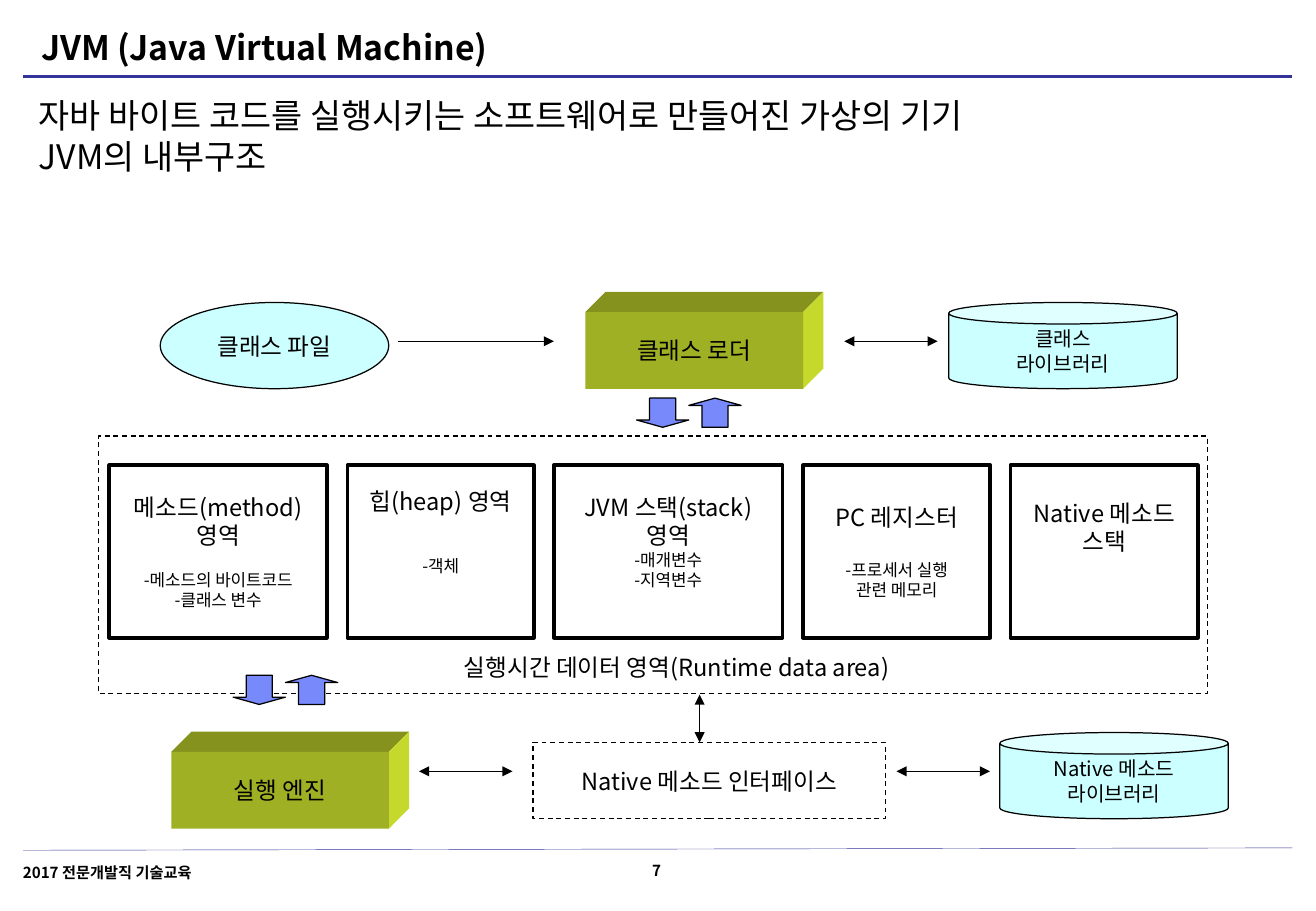
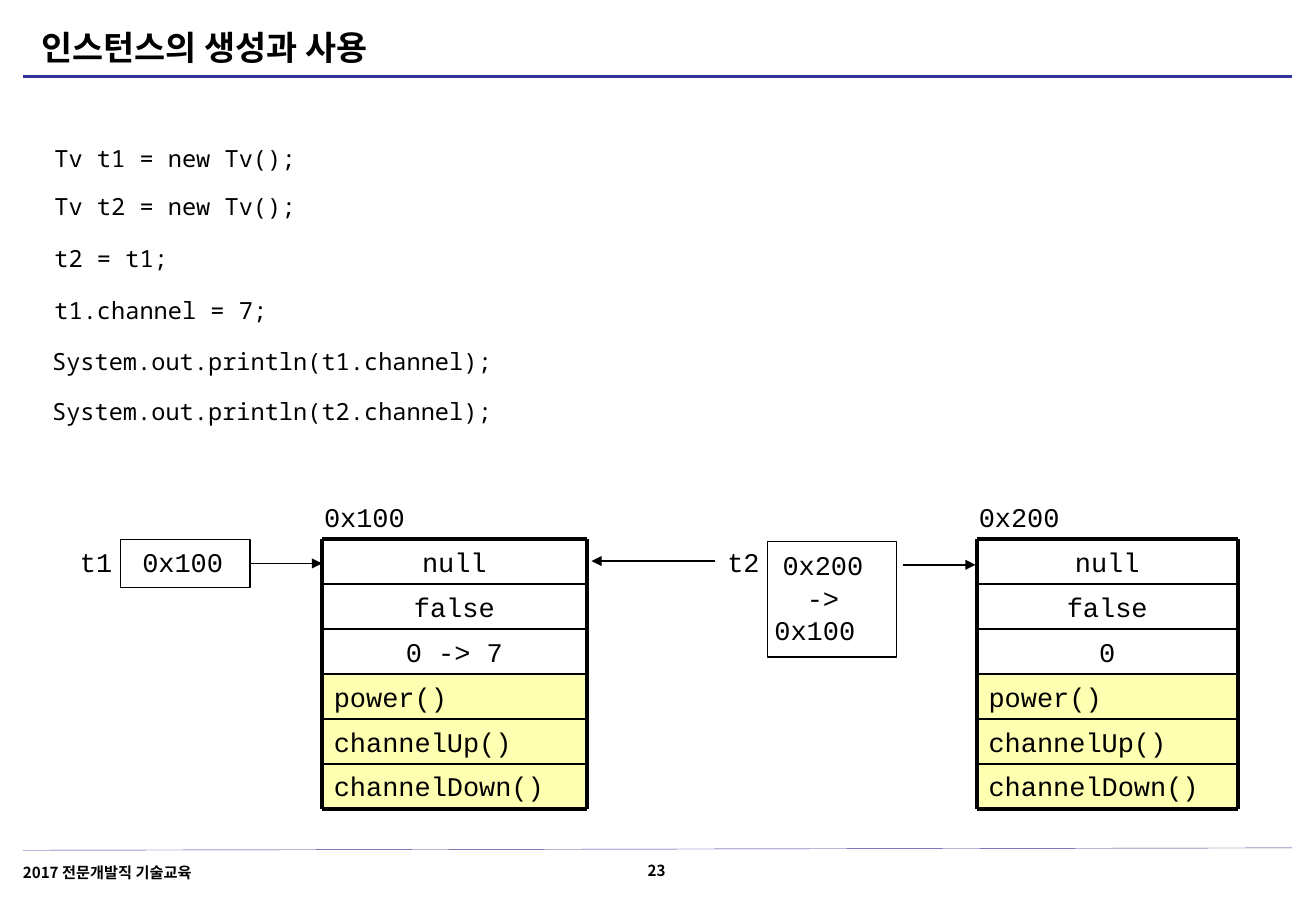
from pptx import Presentation
from pptx.dml.color import RGBColor
from pptx.enum.dml import MSO_LINE
from pptx.enum.shapes import MSO_CONNECTOR, MSO_SHAPE
from pptx.enum.text import MSO_ANCHOR, PP_ALIGN
from pptx.oxml.ns import qn
from pptx.util import Pt
from lxml.etree import SubElement

C = {"black": "000000", "rule": "333399", "front": "9FB024", "top": "85921E",
     "side": "C5D92C", "cyan": "CCFFFF", "arrow": "7889FB", "method": "FFFFB2"}
SANS, MONO, COURIER = "Noto Sans CJK KR", "Noto Sans Mono", "Courier New"


def box(s, x, y, w, h, text="", size=14, font=SANS, kind=None, fill=None, line=None,
        dash=False, center=True, middle=True, bold=False):
    if kind is None:
        sp = s.shapes.add_textbox(Pt(x), Pt(y), Pt(w), Pt(h))
    else:
        sp = s.shapes.add_shape(kind, Pt(x), Pt(y), Pt(w), Pt(h))
        sp.shadow.inherit = False
        if fill:
            sp.fill.solid()
            sp.fill.fore_color.rgb = RGBColor.from_string(C[fill])
        else:
            sp.fill.background()
        if line:
            sp.line.color.rgb = RGBColor.from_string(C["black"])
            sp.line.width = Pt(line)
            if dash:
                sp.line.dash_style = MSO_LINE.DASH
        else:
            sp.line.fill.background()
    tf = sp.text_frame
    tf.word_wrap = True
    tf.vertical_anchor = MSO_ANCHOR.MIDDLE if middle else MSO_ANCHOR.TOP
    if text:
        tf.text = text
    for p in tf.paragraphs:
        p.alignment = PP_ALIGN.CENTER if center else PP_ALIGN.LEFT
        for r in p.runs:
            r.font.size = Pt(size)
            r.font.bold = bold
            r.font.color.rgb = RGBColor.from_string(C["black"])
            r.font.name = font
            SubElement(r.font._element, qn("a:ea"), typeface=font)
    return sp


def connect(s, x1, y1, x2, y2, width=0.75, color="black", ends=()):
    c = s.shapes.add_connector(MSO_CONNECTOR.STRAIGHT, Pt(x1), Pt(y1), Pt(x2), Pt(y2))
    c.line.color.rgb = RGBColor.from_string(C[color])
    c.line.width = Pt(width)
    for end in ends:
        SubElement(c.line._get_or_add_ln(), qn("a:" + end), type="triangle")
    SubElement(c._element.spPr, qn("a:effectLst"))


prs = Presentation()
prs.slide_width, prs.slide_height = Pt(780), Pt(540)

slides = []
for title, number in [("JVM (Java Virtual Machine)", "7"), ("인스턴스의 생성과 사용", "23")]:
    s = prs.slides.add_slide(prs.slide_layouts[6])
    connect(s, 13.7, 504, 766, 502.6, 0.25, "rule")
    connect(s, 13.7, 45.4, 766, 45.4, 2, "rule")
    box(s, 17.3, 12.2, 618.5, 31.7, title, 20, center=False, bold=True)
    footer = box(s, 6.5, 506.9, 213, 19.4, "2017 전문개발직 기술교육", 9,
                 center=False, middle=False, bold=True)
    footer.text_frame.paragraphs[0].line_spacing = 1.1
    page = box(s, 359.3, 507.6, 59.8, 17.3, number, 9, bold=True)
    page.text_frame.vertical_anchor = MSO_ANCHOR.BOTTOM
    slides.append(s)

s = slides[0]
body = box(s, 18, 54, 743.8, 77, "자바 바이트 코드를 실행시키는 소프트웨어로 만들어진 가상의 기기\nJVM의 내부구조",
           20, center=False, middle=False)
tf = body.text_frame
tf.margin_left = tf.margin_right = Pt(5)
tf.margin_top = tf.margin_bottom = Pt(2.2)

W, H, D = 129, 45.5, 12
for x, y, text in [(347, 185, "클래스 로더"), (101.5, 445.7, "실행 엔진")]:
    faces = [("top", [(x, y), (x + D, y - D), (x + W + D, y - D), (x + W, y)]),
             ("side", [(x + W, y), (x + W + D, y - D), (x + W + D, y + H - D), (x + W, y + H)])]
    for face, points in faces:
        fb = s.shapes.build_freeform(Pt(points[0][0]), Pt(points[0][1]))
        fb.add_line_segments([(Pt(px), Pt(py)) for px, py in points[1:]])
        sp = fb.convert_to_shape()
        sp.shadow.inherit = False
        sp.fill.solid()
        sp.fill.fore_color.rgb = RGBColor.from_string(C[face])
        sp.line.fill.background()
    box(s, x, y, W, H, text, kind=MSO_SHAPE.RECTANGLE, fill="front")

regions = [
    (64.8, 129, "메소드(method)\n영역", "-메소드의 바이트코드\n-클래스 변수", 12, 0),
    (206, 110.5, "힙(heap) 영역", "-객체", 24, 24),
    (328.3, 135.5, "JVM 스택(stack)\n영역", "-매개변수\n-지역변수", 0, 12),
    (476, 111, "PC 레지스터", "-프로세서 실행\n관련 메모리", 17, 0),
    (599, 111, "Native 메소드\n스택", "", 0, 29),
]
for x, w, head, detail, gap, below in regions:
    text = head + "\n" + detail if detail else head
    sp = box(s, x, 275.8, w, 102.2, text, kind=MSO_SHAPE.RECTANGLE, line=2.25)
    tf = sp.text_frame
    tf.margin_bottom = Pt(3.6 + below)
    details = tf.paragraphs[len(head.split("\n")):]
    for p in details:
        p.runs[0].font.size = Pt(10)
    if gap:
        details[0].space_before = Pt(gap)

box(s, 58.3, 258.5, 657.4, 152.6, kind=MSO_SHAPE.RECTANGLE, line=0.75, dash=True)
box(s, 259.2, 383, 283.7, 24.5, "실행시간 데이터 영역(Runtime data area)")
box(s, 316, 440, 208.8, 45.4, "Native 메소드 인터페이스", kind=MSO_SHAPE.RECTANGLE,
    line=0.75, dash=True)
box(s, 95, 179.3, 135.4, 51.1, "클래스 파일", kind=MSO_SHAPE.OVAL, fill="cyan", line=0.75)
for x, y, text in [(562.3, 179.3, "클래스\n라이브러리"), (592.6, 434.2, "Native 메소드\n라이브러리")]:
    box(s, x, y, 135.4, 51.1, text, 12, kind=MSO_SHAPE.CAN, fill="cyan", line=0.75)

for x, y in [(377.3, 236), (138.2, 400.3)]:
    for i, kind in enumerate([MSO_SHAPE.DOWN_ARROW, MSO_SHAPE.UP_ARROW]):
        sp = box(s, x + 31 * i, y, 31, 17.3, kind=kind, fill="arrow", line=0.75)
        sp.adjustments[0], sp.adjustments[1] = 0.5, 0.25

connect(s, 236.2, 202.3, 328.3, 202.3, ends=["tailEnd"])
for x1, y1, x2, y2 in [(500.4, 202.3, 555.8, 202.3), (248.4, 457.2, 303.8, 457.2),
                       (414.7, 411.8, 414.7, 440), (531.4, 457.2, 586.8, 457.2)]:
    connect(s, x1, y1, x2, y2, ends=["headEnd", "tailEnd"])

s = slides[1]
code = [(25.2, 82, "Tv t1 = new Tv();"), (25.2, 110.2, "Tv t2 = new Tv();"),
        (25.2, 141, "t2 = t1;"), (25.2, 172, "t1.channel = 7;"),
        (23.8, 202.3, "System.out.println(t1.channel);"),
        (23.8, 231.8, "System.out.println(t2.channel);")]
for x, y, text in code:
    box(s, x, y, 476, 24.5, text, 14, MONO, center=False, middle=False)

TOP, ROW = 319.7, 26.64
for x, w, address, channel in [(190.8, 157, "0x100", "0 -> 7"), (578.9, 154.8, "0x200", "0")]:
    box(s, x - 5.8, 293, 80, ROW, address, 16, COURIER, center=False, middle=False)
    cells = ["null", "false", channel, "power()", "channelUp()", "channelDown()"]
    for i, text in enumerate(cells):
        method = text.endswith("()")
        box(s, x, TOP + ROW * i, w, ROW, text, 16, COURIER, MSO_SHAPE.RECTANGLE,
            "method" if method else None, center=not method, middle=False)
    bottom = TOP + ROW * len(cells)
    for i in range(len(cells) + 1):
        y = TOP + ROW * i
        connect(s, x, y, x + w, y, 2.25 if i in (0, len(cells)) else 1)
    for edge in (x, x + w):
        connect(s, edge, TOP, edge, bottom, 2.25)

box(s, 71.3, 319.7, 77, 28.8, kind=MSO_SHAPE.RECTANGLE, line=0.75)
box(s, 455, 321.1, 76.3, 68.4, kind=MSO_SHAPE.RECTANGLE, line=0.75)
for x, name in [(40.3, "t1"), (424, "t2")]:
    box(s, x, 319.7, 81.4, ROW, name, 16, COURIER, center=False, middle=False)
box(s, 66.2, 319.7, 84.2, ROW, "0x100", 16, COURIER, middle=False)
box(s, 445.7, 321.8, 84.2, 65.5, "0x200\n-> 0x100 ", 16, COURIER, middle=False)
for x1, x2, y in [(147.6, 190.8, 334), (535, 578.2, 334.8), (424, 350.6, 332.6)]:
    connect(s, x1, y, x2, y, 1, ends=["tailEnd"])

prs.save("out.pptx")
